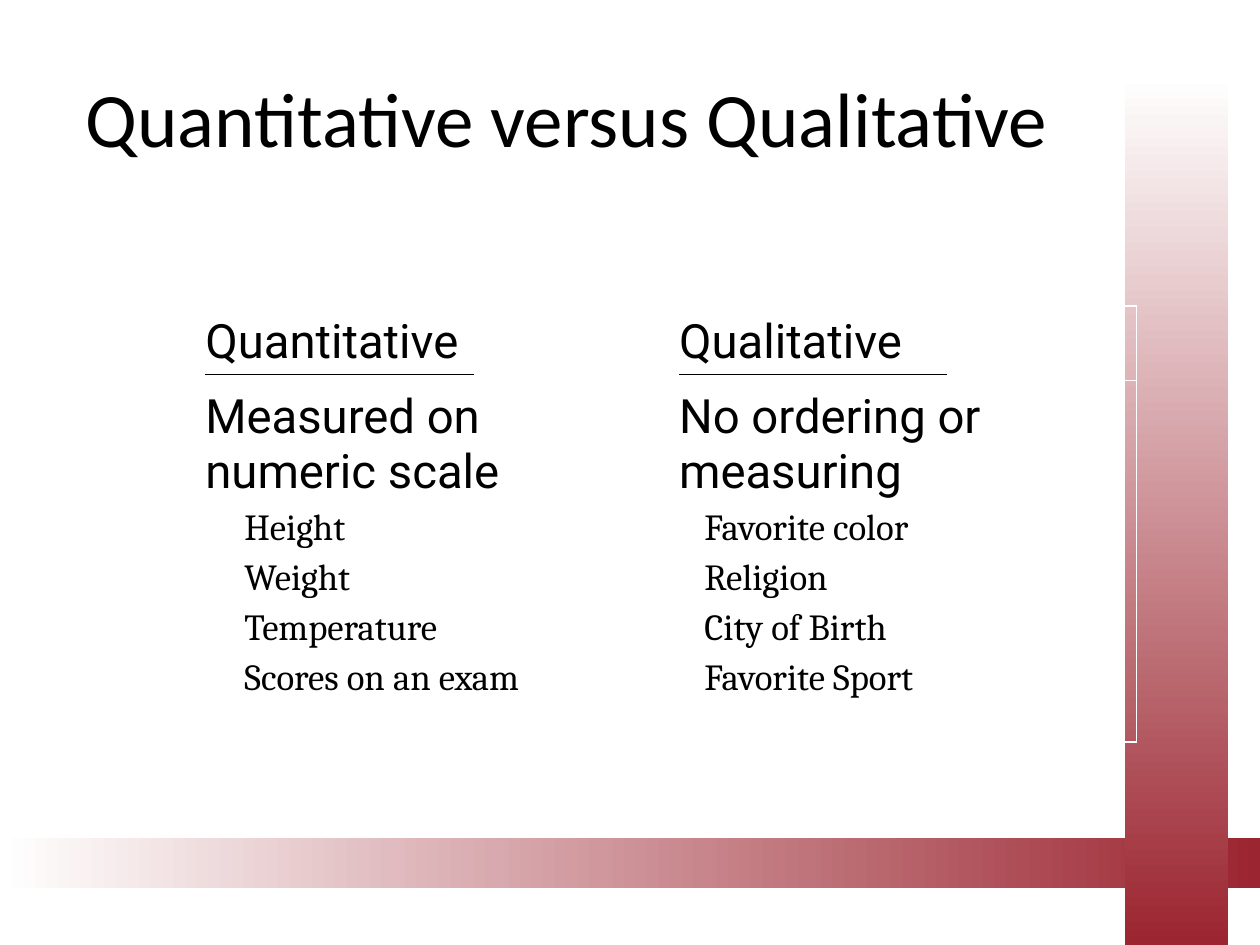
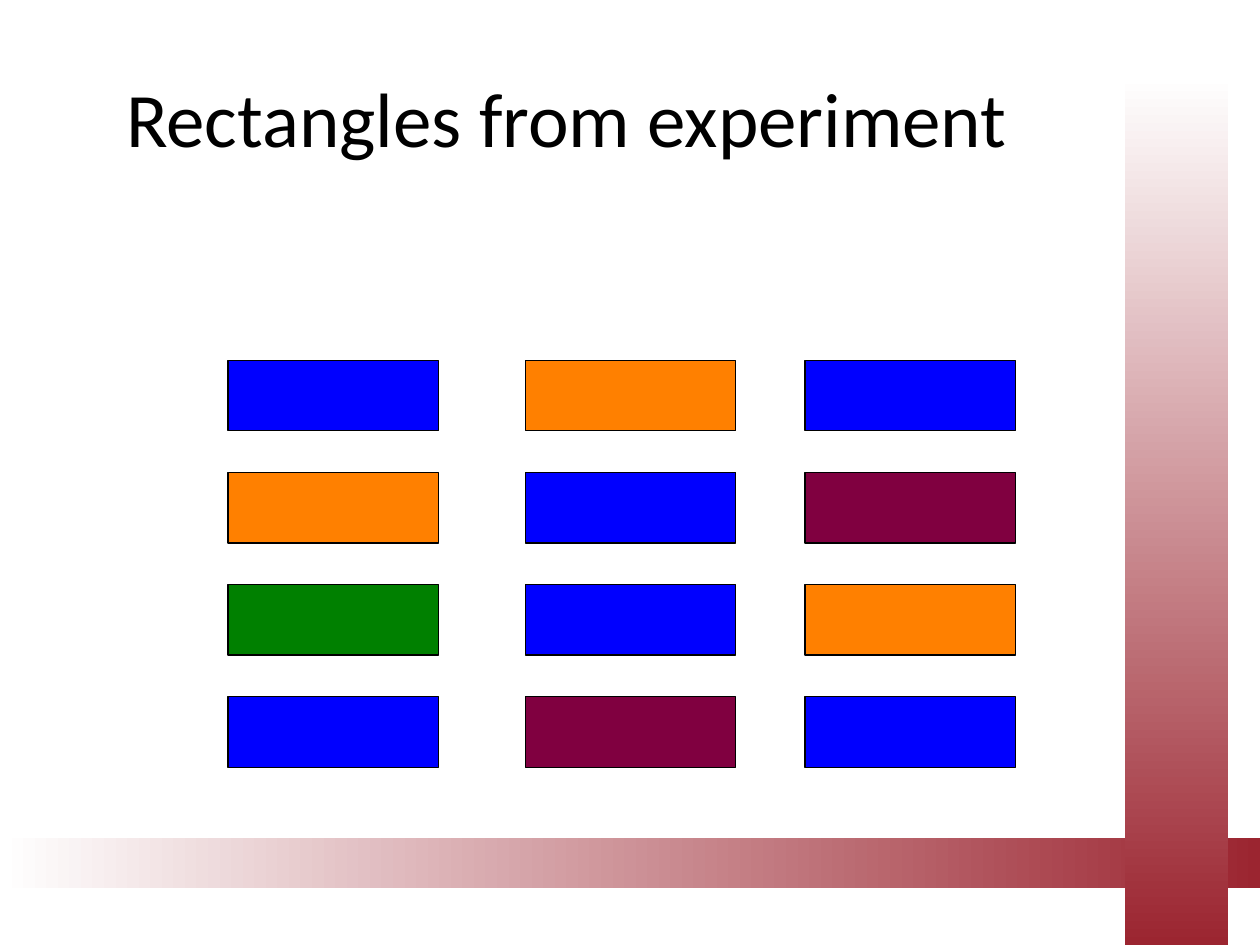
from dataclasses import dataclass
from typing import Any

import pptx
import pptx.dml.color
import pptx.enum.shapes
import pptx.enum.text
import pptx.oxml.ns
import pptx.util
from lxml import etree

SCALE = 9144  # EMU per px, 100 px to the inch
BLACK, WHITE, RED = "000000", "FFFFFF", "9B2530"
BLUE, ORANGE, GREEN, PLUM = "0000FF", "FF8000", "008000", "800040"

# Text formats
TITLE = {"name": "Calibri", "size": pptx.util.Pt(44), "bold": False}
HEAD = {"name": "Roboto", "size": pptx.util.Pt(27), "bold": False}
ITEM = {"name": "Cambria", "size": pptx.util.Pt(21), "bold": False}


@dataclass(frozen=True)
class Band:
    left: int
    top: int
    width: int
    height: int
    start: float
    angle: int


@dataclass(frozen=True)
class Column:
    name: str
    lead: str
    items: tuple[str, ...]
    indent: int


BANDS = (Band(0, 665, 1000, 40, 0, 0), Band(893, 0, 82, 750, 0.08, 270))
COLUMNS = (
    Column("Quantitative", "Measured on numeric scale",
           ("Height", "Weight", "Temperature", "Scores on an exam"), 31),
    Column("Qualitative", "No ordering or measuring",
           ("Favorite color", "Religion", "City of Birth", "Favorite Sport"), 20),
)
GRID = (
    (BLUE, ORANGE, BLUE),
    (ORANGE, BLUE, PLUM),
    (GREEN, BLUE, ORANGE),
    (BLUE, PLUM, BLUE),
)


def px(*sizes: int) -> list[int]:
    return [size * SCALE for size in sizes]


def paint(color: Any, code: str) -> None:
    color.rgb = pptx.dml.color.RGBColor.from_string(code)


def set_all(target: Any, style: dict[str, Any]) -> None:
    for key, value in style.items():
        setattr(target, key, value)


def write(para: Any, text: str, style: dict[str, Any]) -> None:
    para.text = text
    set_all(para.font, style)
    paint(para.font.color, BLACK)


def add_box(slide: Any, left: int, top: int, width: int, height: int) -> Any:
    kind = pptx.enum.shapes.MSO_SHAPE.RECTANGLE
    box = slide.shapes.add_shape(kind, *px(left, top, width, height))
    box.shadow.inherit = False
    return box


def edge(line: Any) -> None:
    line.width = pptx.util.Pt(0.75)
    line.fill.solid()
    paint(line.color, BLACK)


def add_band(slide: Any, band: Band) -> None:
    box = add_box(slide, band.left, band.top, band.width, band.height)
    box.line.fill.background()
    box.fill.gradient()
    box.fill.gradient_angle = band.angle
    for stop, place, code in zip(box.fill.gradient_stops, (band.start, 1), (WHITE, RED)):
        stop.position = place
        paint(stop.color, code)


def add_page(deck: Any, title: str) -> Any:
    """Start a slide with the shared bands and title."""
    slide = deck.slides.add_slide(deck.slide_layouts[6])
    for band in BANDS:
        add_band(slide, band)
    frame = slide.shapes.add_textbox(*px(0, 30, 900, 125)).text_frame
    set_all(frame, {"word_wrap": True,
                    "vertical_anchor": pptx.enum.text.MSO_ANCHOR.MIDDLE})
    frame.paragraphs[0].alignment = pptx.enum.text.PP_ALIGN.CENTER
    write(frame.paragraphs[0], title, TITLE)
    return slide


def add_rule(slide: Any, left: int, top: int, width: int) -> None:
    kind = pptx.enum.shapes.MSO_CONNECTOR.STRAIGHT
    rule = slide.shapes.add_connector(kind, *px(left, top, left + width, top))
    edge(rule.line)
    etree.SubElement(rule._element.spPr, pptx.oxml.ns.qn("a:effectLst"))


def fill_cell(cell: Any, lead: str, items: tuple[str, ...] = (), indent: int = 0) -> None:
    cell.fill.background()
    side, end = px(13, 7)
    set_all(cell, {"margin_left": side, "margin_right": side,
                   "margin_top": end, "margin_bottom": end})
    frame = cell.text_frame
    write(frame.paragraphs[0], lead, HEAD)
    for item in items:
        para = frame.add_paragraph()
        set_all(para, {"level": 1, "space_before": pptx.util.Pt(4.2)})
        props = para._p.get_or_add_pPr()
        props.set("marL", str(indent * SCALE))
        props.set("indent", "0")
        write(para, item, ITEM)


def add_types(slide: Any) -> None:
    """Table of the two kinds of data, each head underlined."""
    left, top, width, heights = 150, 243, 376, (58, 287)
    size = px(left, top, width * len(COLUMNS), sum(heights))
    table = slide.shapes.add_table(len(heights), len(COLUMNS), *size).table
    set_all(table, {"first_row": False, "horz_banding": False})
    for row, height in zip(table.rows, px(*heights)):
        row.height = height
    for num, col in enumerate(COLUMNS):
        table.columns[num].width = width * SCALE
        fill_cell(table.cell(0, num), col.name)
        fill_cell(table.cell(1, num), col.lead, col.items, col.indent)
        add_rule(slide, left + 13 + num * width, 297, 213)


def add_grid(slide: Any) -> None:
    """Grid of coloured rectangles."""
    for row, codes in enumerate(GRID):
        for left, code in zip((181, 417, 639), codes):
            box = add_box(slide, left, 286 + row * 89, 167, 56)
            box.fill.solid()
            paint(box.fill.fore_color, code)
            edge(box.line)


def main() -> None:
    deck = pptx.Presentation()
    deck.slide_width, deck.slide_height = px(1000, 750)
    add_types(add_page(deck, "Quantitative versus Qualitative"))
    add_grid(add_page(deck, "Rectangles from experiment"))
    deck.save("out.pptx")


if __name__ == "__main__":
    main()
